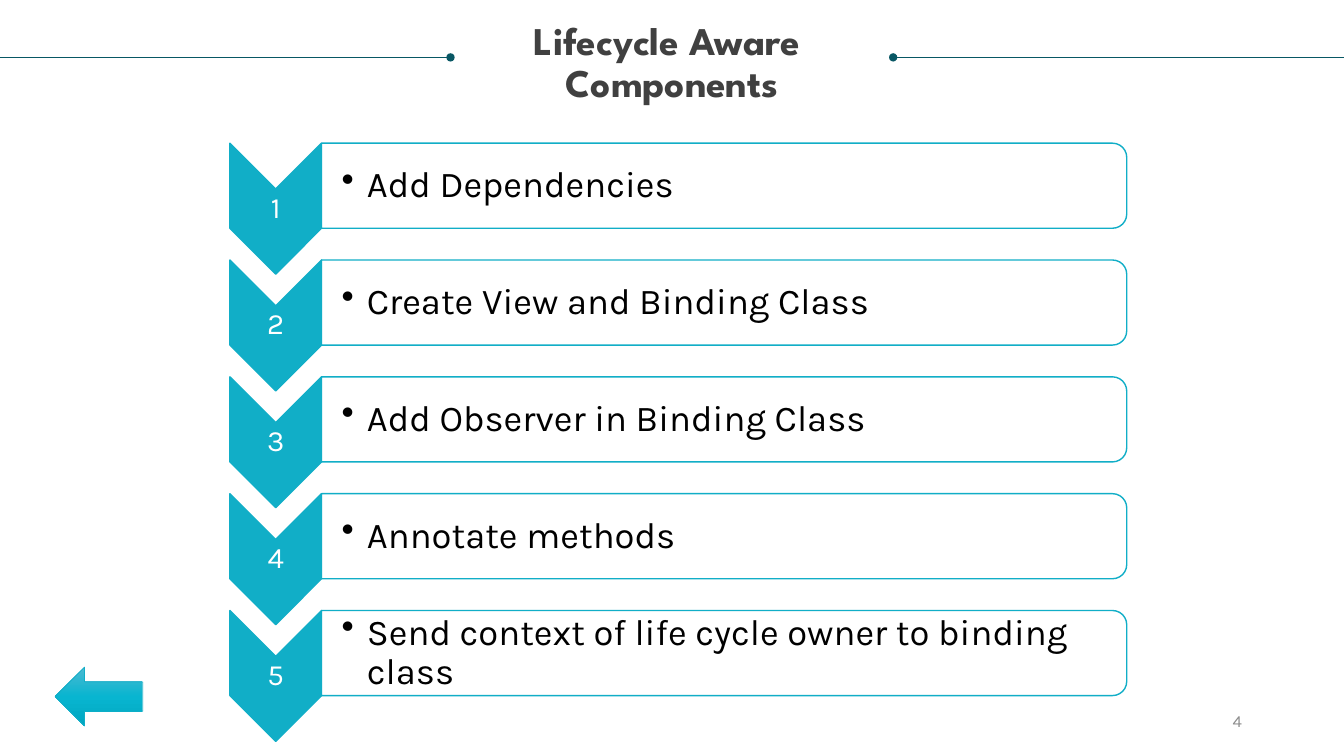
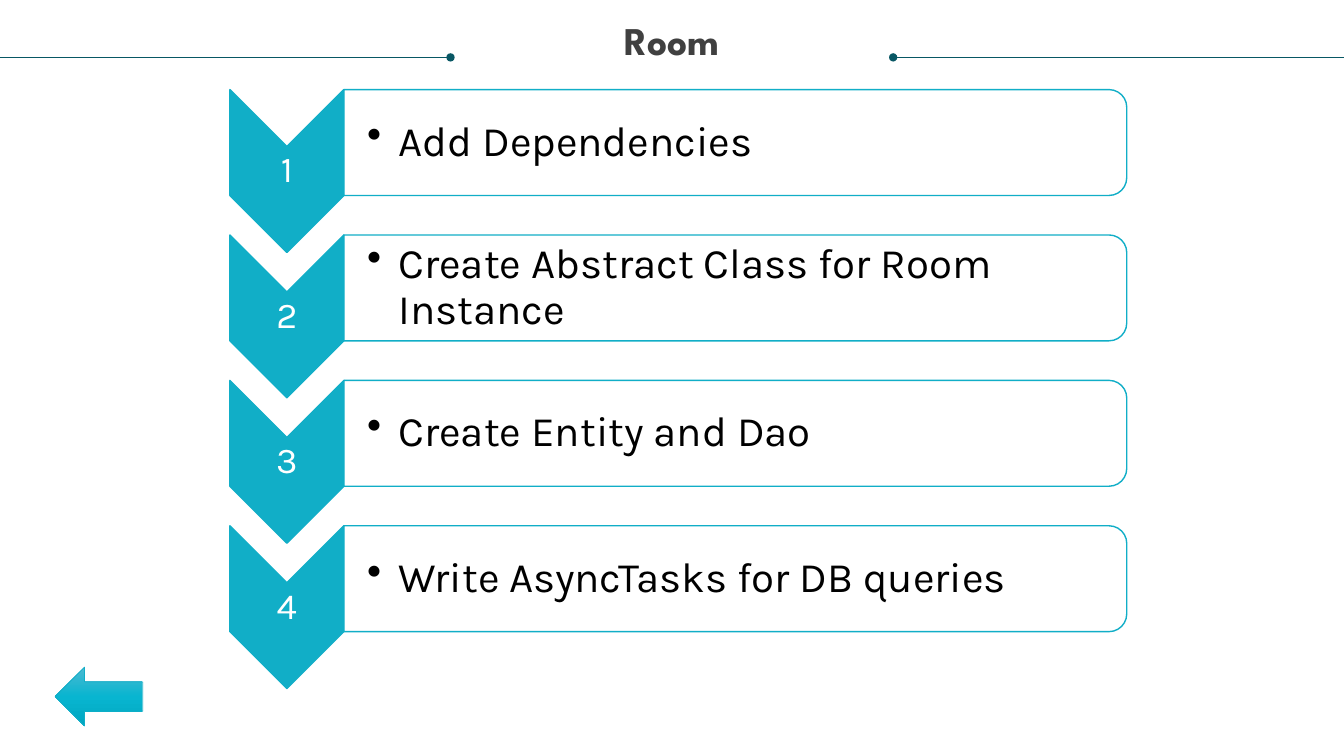
from copy import deepcopy
from dataclasses import dataclass

from pptx import Presentation
from pptx.dml.color import RGBColor
from pptx.enum.shapes import MSO_CONNECTOR, MSO_SHAPE
from pptx.enum.text import MSO_ANCHOR, PP_ALIGN
from pptx.oxml.ns import qn
from pptx.util import Pt

STRAIGHT = MSO_CONNECTOR.STRAIGHT
CHEVRON, BAR, BACK = MSO_SHAPE.CHEVRON, MSO_SHAPE.ROUND_2_SAME_RECTANGLE, MSO_SHAPE.LEFT_ARROW
TOP, MIDDLE = MSO_ANCHOR.TOP, MSO_ANCHOR.MIDDLE
LEFT, CENTER, RIGHT = PP_ALIGN.LEFT, PP_ALIGN.CENTER, PP_ALIGN.RIGHT

SLIDES = [
    {
        "title": ["Lifecycle Aware ", "Components"],
        "steps": [
            "Add Dependencies",
            "Create View and Binding Class",
            "Add Observer in Binding Class",
            "Annotate methods",
            "Send context of life cycle owner to binding class",
        ],
        "page_number": "4",
        "top": 102.3, "chevron_height": 93.5, "pitch": 83.45,
        "number_size": 21, "step_size": 26, "inset": 14.4, "indent": 18,
    },
    {
        "title": ["Room"],
        "steps": [
            "Add Dependencies",
            "Create Abstract Class for Room Instance ",
            "Create Entity and Dao",
            "Write AsyncTasks for DB queries",
        ],
        "page_number": None,
        "top": 64, "chevron_height": 116.3, "pitch": 103.85,
        "number_size": 26, "step_size": 30, "inset": 16.6, "indent": 22.5,
    },
]


@dataclass(frozen=True)
class Theme:
    teal: str = "11AEC7"
    rule: str = "085764"
    white: str = "FFFFFF"
    black: str = "000000"
    heading: str = "404040"
    muted: str = "8C8C8C"
    arrow: tuple = ((0, "4CB9D1"), (0.5, "08B5D0"), (1, "00A6C0"))
    title_font: str = "League Spartan"
    body_font: str = "Karla"
    title_size: float = 28
    footer_size: float = 12


THEME = Theme()
WIDTH, HEIGHT = 960, 540
RULE_TOP = 41
RULES = [(638, WIDTH, "a:headEnd"), (0, 321.8, "a:tailEnd")]
LIST_LEFT, LIST_RIGHT = 164.2, 804.8
CHEVRON_RATIO, BAR_RATIO = 0.7, 0.65
NUMBER_TOP, NUMBER_RATIO = 0.35, 0.3
TEXT_MARGIN = 0.049


def colour(value):
    return RGBColor.from_string(value)


def add_text(page, frame, lines, size, ink, font=THEME.body_font, bold=False,
             align=CENTER, anchor=MIDDLE, insets=(1, 1, 1, 1), indent=0, spacing=0.9):
    box = page.shapes.add_textbox(*map(Pt, frame))
    text = box.text_frame
    text.word_wrap = True
    text.vertical_anchor = anchor
    text.margin_left, text.margin_top, text.margin_right, text.margin_bottom = map(Pt, insets)
    for index, line in enumerate(lines):
        para = text.add_paragraph() if index else text.paragraphs[0]
        para.alignment = align
        para.line_spacing = spacing
        if indent:
            para.level = 1
            properties = para._p.get_or_add_pPr()
            properties.set("marL", str(Pt(indent)))
            properties.set("indent", str(-Pt(indent)))
            bullet = properties.makeelement(qn("a:buChar"), {"char": "•"})
            properties.append(bullet)
        span = para.add_run()
        span.text = line
        span.font.name = font
        span.font.size = Pt(size)
        span.font.bold = bold
        span.font.color.rgb = colour(ink)


def add_outlined(page, kind, frame, line_width):
    shape = page.shapes.add_shape(kind, *map(Pt, frame))
    shape.shadow.inherit = False
    shape.line.color.rgb = colour(THEME.teal)
    shape.line.width = Pt(line_width)
    return shape


def add_turned(page, kind, left, top, width, height, fill):
    shift = (width - height) / 2
    shape = add_outlined(page, kind, (left + shift, top - shift, height, width), 1)
    shape.rotation = 90
    shape.fill.solid()
    shape.fill.fore_color.rgb = colour(fill)
    return shape


def add_rules(page):
    for start, end, dotted_end in RULES:
        rule = page.shapes.add_connector(STRAIGHT, Pt(start), Pt(RULE_TOP), Pt(end), Pt(RULE_TOP))
        rule.line.color.rgb = colour(THEME.rule)
        rule.line.width = Pt(0.5)
        properties = rule._element.spPr
        line = properties.find(qn("a:ln"))
        line.append(line.makeelement(qn(dotted_end), {"type": "oval"}))
        properties.append(properties.makeelement(qn("a:effectLst"), {}))


def add_back_arrow(page):
    arrow = add_outlined(page, BACK, (39.4, 476.6, 62.6, 42), 0.5)
    arrow.fill.gradient()
    arrow.fill.gradient_angle = 270
    stops = arrow._element.spPr.find(qn("a:gradFill")).find(qn("a:gsLst"))
    stops.append(deepcopy(stops[-1]))
    for stop, (position, tint) in zip(arrow.fill.gradient_stops, THEME.arrow):
        stop.position = position
        stop.color.rgb = colour(tint)


def add_steps(page, content):
    height = content["chevron_height"]
    width = height * CHEVRON_RATIO
    bar_left = LIST_LEFT + width
    bar_width, bar_height = LIST_RIGHT - bar_left, height * BAR_RATIO
    margin = bar_height * TEXT_MARGIN
    for index, step in enumerate(content["steps"]):
        top = content["top"] + index * content["pitch"]
        add_turned(page, CHEVRON, LIST_LEFT, top, width, height, THEME.teal)
        number_frame = (LIST_LEFT, top + height * NUMBER_TOP, width, height * NUMBER_RATIO)
        add_text(page, number_frame, [str(index + 1)], content["number_size"], THEME.white)
        bar = add_turned(page, BAR, bar_left, top, bar_width, bar_height, THEME.white)
        tint = bar._element.spPr.find(qn("a:solidFill"))[0]
        tint.append(tint.makeelement(qn("a:alpha"), {"val": "90000"}))
        step_frame = (bar_left, top + margin, bar_width - margin, bar_height - 2 * margin)
        add_text(page, step_frame, [step], content["step_size"], THEME.black, align=LEFT,
                 insets=(content["inset"], 1.3, 1.3, 1.3), indent=content["indent"])


def add_page(deck, content):
    page = deck.slides.add_slide(deck.slide_layouts[6])
    page.background.fill.solid()
    page.background.fill.fore_color.rgb = colour(THEME.white)
    add_rules(page)
    title_height = 30.6 * (len(content["title"]) + 1)
    add_text(page, (18, 15.2, 924, title_height), content["title"], THEME.title_size,
             THEME.heading, THEME.title_font, True, anchor=TOP, insets=(0, 0, 0, 0))
    if content["page_number"]:
        add_text(page, (678.2, 500.4, 216, 28.8), [content["page_number"]], THEME.footer_size,
                 THEME.muted, align=RIGHT, insets=(7.2, 3.6, 7.2, 3.6), spacing=1.0)
    add_steps(page, content)
    add_back_arrow(page)


deck = Presentation()
deck.slide_width, deck.slide_height = Pt(WIDTH), Pt(HEIGHT)
for content in SLIDES:
    add_page(deck, content)
deck.save("out.pptx")
